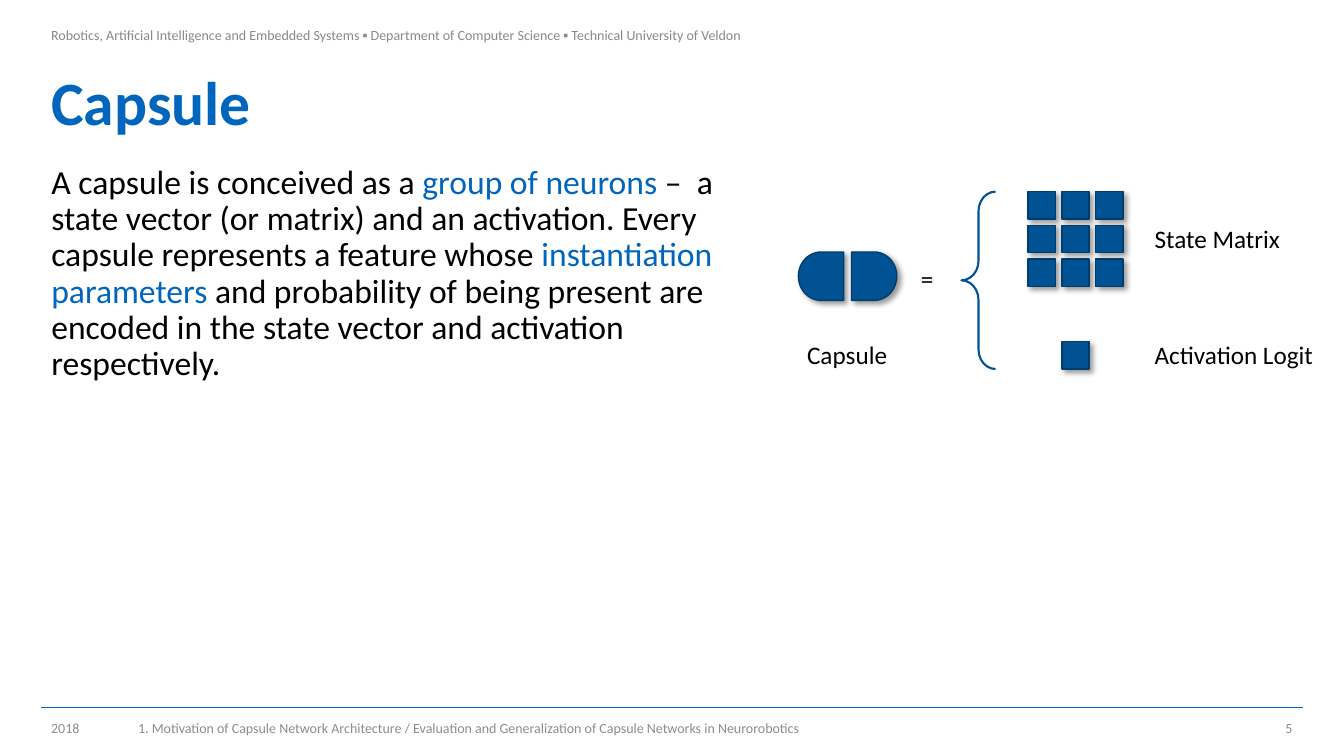
"""Build the slide that explains what a capsule is."""
from lxml import etree
from pptx import Presentation
from pptx.dml.color import RGBColor
from pptx.enum.shapes import MSO_CONNECTOR, MSO_SHAPE
from pptx.enum.text import MSO_ANCHOR, MSO_AUTO_SIZE, PP_ALIGN
from pptx.oxml.ns import qn
from pptx.util import Cm, Pt

DELAY = MSO_SHAPE.FLOWCHART_DELAY
RECT = MSO_SHAPE.RECTANGLE
BRACE = MSO_SHAPE.LEFT_BRACE
LINE = MSO_CONNECTOR.STRAIGHT
TOP, MIDDLE = MSO_ANCHOR.TOP, MSO_ANCHOR.MIDDLE
LEFT, RIGHT = PP_ALIGN.LEFT, PP_ALIGN.RIGHT
FIXED = MSO_AUTO_SIZE.NONE
BLUE, NAVY, EDGE = "0065BD", "005293", "003D6D"
BLACK, GREY, PALE = "000000", "8C8C8C", "898989"


def color(code):
    return RGBColor.from_string(code)


def style(run, size, code, bold=False):
    run.font.name = "Calibri"
    run.font.size = Pt(size)
    run.font.bold = bold
    run.font.color.rgb = color(code)


deck = Presentation()
deck.slide_width, deck.slide_height = Cm(33.87), Cm(19.05)
slide = deck.slides.add_slide(deck.slide_layouts[1])
shapes = slide.shapes

rule = shapes.add_connector(LINE, Cm(1.04), Cm(17.83), Cm(32.84), Cm(17.83))
rule.line.color.rgb = color(BLUE)
rule.line.width = Pt(0.5)
etree.SubElement(rule._element.spPr, qn("a:effectLst"))

title = shapes.title
title.left, title.top, title.width, title.height = Cm(1.04), Cm(1.73), Cm(31.8), Cm(1.88)
title.text_frame.text = "Capsule"
title.text_frame.vertical_anchor = MIDDLE
title.text_frame.auto_size = FIXED
head = title.text_frame.paragraphs[0]
head.alignment = LEFT
head.line_spacing = 0.9
style(head.runs[0], 44, BLUE, True)

body = slide.placeholders[1]
body.left, body.top, body.width, body.height = Cm(1.04), Cm(4.04), Cm(17.81), Cm(13.49)
body.text_frame.auto_size = FIXED
para = body.text_frame.paragraphs[0]
para.line_spacing = 0.9
para.space_before = Pt(10)
props = para._p.get_or_add_pPr()
props.set("marL", "0")
props.set("indent", "0")
etree.SubElement(props, qn("a:buNone"))
for words, code in [
    ("A capsule is conceived as a ", BLACK),
    ("group of neurons", BLUE),
    (" –  a state vector (or matrix) and an activation. Every capsule "
     "represents a feature whose ", BLACK),
    ("instantiation parameters", BLUE),
    (" and probability of being present are encoded in the state vector "
     "and activation respectively.", BLACK),
]:
    run = para.add_run()
    run.text = words
    style(run, 24, code)

parts = [
    (DELAY, 21.46, 6.35, 1.14, 1.22, 0),
    (DELAY, 20.12, 6.35, 1.14, 1.22, 180),
    (RECT, 26.76, 8.61, 0.69, 0.69, 0),
]
for row in range(3):
    for col in range(3):
        parts.append((RECT, 25.91 + 0.85 * col, 4.83 + 0.85 * row, 0.69, 0.69, 0))
for kind, x, y, w, h, turn in parts:
    part = shapes.add_shape(kind, Cm(x), Cm(y), Cm(w), Cm(h))
    part.rotation = turn
    part.fill.solid()
    part.fill.fore_color.rgb = color(NAVY)
    part.line.color.rgb = color(EDGE)
    part.line.width = Pt(1)
    part.shadow.inherit = False
    effects = part._element.spPr.find(qn("a:effectLst"))
    shade = etree.SubElement(effects, qn("a:outerShdw"), blurRad=str(Pt(4)),
                             dist=str(Pt(3)), dir="2700000", algn="tl", rotWithShape="0")
    tint = etree.SubElement(shade, qn("a:srgbClr"), val=BLACK)
    etree.SubElement(tint, qn("a:alpha"), val="40000")

brace = shapes.add_shape(BRACE, Cm(24.23), Cm(4.83), Cm(0.86), Cm(4.47))
brace.adjustments[0] = 0.57
brace.fill.background()
brace.line.color.rgb = color(NAVY)
brace.line.width = Pt(1.5)
brace.shadow.inherit = False

for words, x, y, w, h, size, code, anchor, align, wrap in [
    ("Robotics, Artificial Intelligence and Embedded Systems ▪ Department of "
     "Computer Science ▪ Technical University of Veldon",
     1.04, 0.41, 19.13, 1.32, 10, PALE, TOP, LEFT, True),
    ("2018", 1.04, 18.03, 1.96, 0.6, 10, GREY, MIDDLE, LEFT, True),
    ("1. Motivation of Capsule Network Architecture / Evaluation and "
     "Generalization of Capsule Networks in Neurorobotics",
     3.23, 18.03, 21.87, 0.6, 10, GREY, MIDDLE, LEFT, True),
    ("5", 31.32, 18.03, 1.5, 0.6, 10, GREY, MIDDLE, RIGHT, True),
    ("State Matrix", 28.85, 5.51, 3.71, 1.02, 18, BLACK, TOP, LEFT, False),
    ("Activation Logit", 28.85, 8.43, 4.55, 1.02, 18, BLACK, TOP, LEFT, False),
    ("=", 22.96, 6.5, 0.69, 1.02, 18, BLACK, TOP, LEFT, True),
    ("Capsule", 20.09, 8.43, 2.54, 1.02, 18, BLACK, TOP, LEFT, True),
]:
    box = shapes.add_textbox(Cm(x), Cm(y), Cm(w), Cm(h))
    frame = box.text_frame
    frame.text = words
    frame.word_wrap = wrap
    frame.vertical_anchor = anchor
    frame.margin_top = Cm(0.25 if code == PALE else 0.13)
    frame.paragraphs[0].alignment = align
    style(frame.paragraphs[0].runs[0], size, code)

deck.save("out.pptx")
